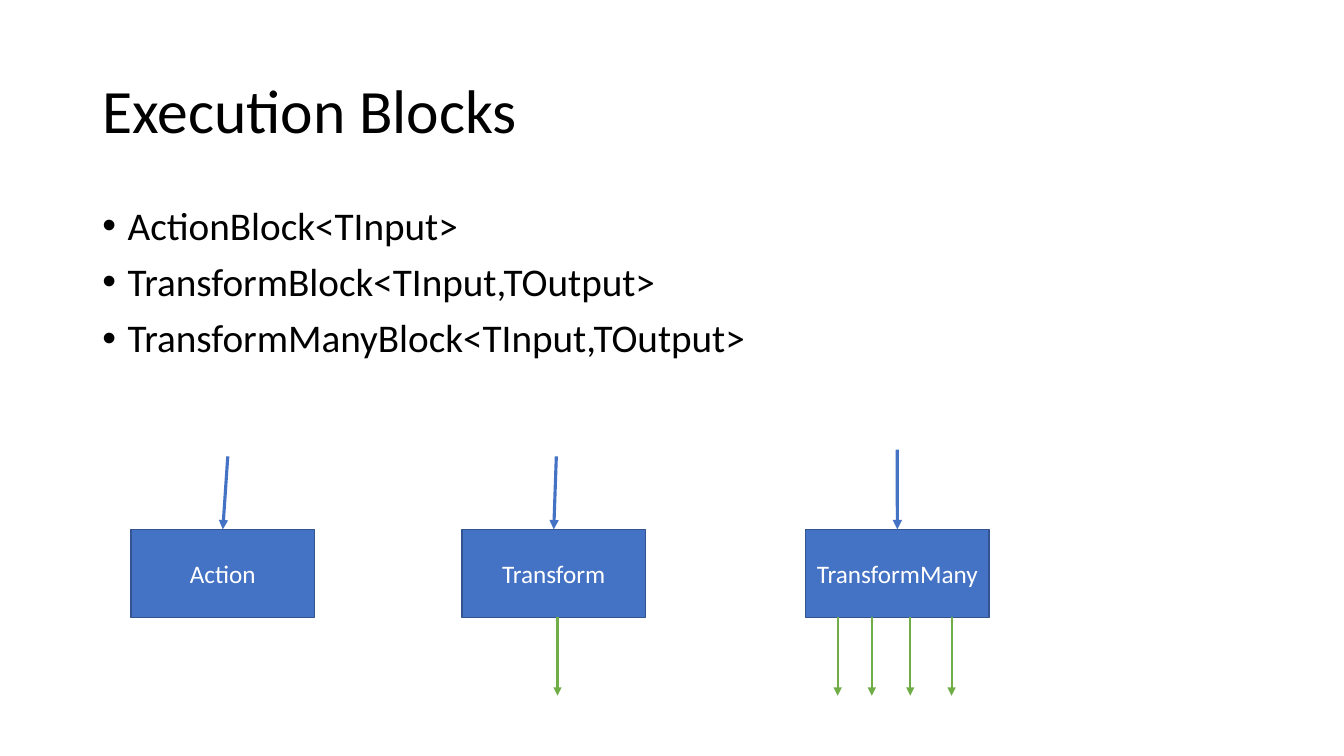
from pptx import Presentation
from pptx.dml.color import RGBColor
from pptx.enum.shapes import MSO_CONNECTOR as Connector, MSO_SHAPE as Shape
from pptx.enum.text import MSO_ANCHOR as Anchor, PP_ALIGN as Align
from pptx.oxml.ns import qn
from pptx.util import Cm, Pt
from lxml.etree import SubElement

BLUE, DARK_BLUE, GREEN = "4472C4", "325491", "70AD47"
BLACK, WHITE = "000000", "FFFFFF"
BOX_TOP, BOX_WIDTH, BOX_HEIGHT = 13.34, 4.63, 2.22
BOX_BOTTOM = BOX_TOP + BOX_HEIGHT
OUTPUT_END = 17.53


def color(value):
    """Turn a hex string into a colour."""
    return RGBColor.from_string(value)


class SlideBuilder:
    """Hold the style and the current slide, and draw its elements."""

    font_name = "Calibri"

    def __init__(self, slide):
        self.slide = slide

    def style(self, paragraph, size, hex_color):
        """Set the font of a paragraph."""
        font = paragraph.font
        font.name, font.size = self.font_name, Pt(size)
        font.color.rgb = color(hex_color)

    def text(self, left, top, width, height, lines, size, anchor=Anchor.TOP, bullets=False):
        """Add a text box with one paragraph per line."""
        shape = self.slide.shapes.add_textbox(Cm(left), Cm(top), Cm(width), Cm(height))
        frame = shape.text_frame
        frame.word_wrap = True
        frame.vertical_anchor = anchor
        frame.text = "\n".join(lines)
        for paragraph in frame.paragraphs:
            self.style(paragraph, size, BLACK)
            paragraph.line_spacing = 0.9
            if bullets:
                self.bullet(paragraph)

    def bullet(self, paragraph):
        """Give a paragraph a hanging bullet and space above."""
        paragraph.space_before = Pt(10)
        properties = paragraph._p.get_or_add_pPr()
        indent = Cm(0.64)
        properties.set("marL", str(indent))
        properties.set("indent", str(-indent))
        bullet_font = SubElement(properties, qn("a:buFont"))
        bullet_font.set("typeface", "Arial")
        SubElement(properties, qn("a:buChar")).set("char", "•")
        properties.append(properties.find(qn("a:defRPr")))

    def box(self, left, label):
        """Add a labelled block."""
        shape = self.slide.shapes.add_shape(
            Shape.RECTANGLE, Cm(left), Cm(BOX_TOP), Cm(BOX_WIDTH), Cm(BOX_HEIGHT))
        shape.shadow.inherit = False
        shape.fill.solid()
        shape.fill.fore_color.rgb = color(BLUE)
        shape.line.color.rgb = color(DARK_BLUE)
        shape.line.width = Pt(1)
        frame = shape.text_frame
        frame.word_wrap = True
        frame.vertical_anchor = Anchor.MIDDLE
        frame.text = label
        paragraph = frame.paragraphs[0]
        paragraph.alignment = Align.CENTER
        self.style(paragraph, 18, WHITE)

    def arrow(self, start, end, hex_color, width):
        """Add an arrow between two points."""
        connector = self.slide.shapes.add_connector(
            Connector.STRAIGHT, *(Cm(value) for value in (*start, *end)))
        connector.line.color.rgb = color(hex_color)
        connector.line.width = Pt(width)
        SubElement(connector.line._get_or_add_ln(), qn("a:tailEnd")).set("type", "triangle")
        SubElement(connector._element.spPr, qn("a:effectLst"))


presentation = Presentation()
presentation.slide_width, presentation.slide_height = Cm(33.87), Cm(19.05)
slide = presentation.slides.add_slide(presentation.slide_layouts[6])
builder = SlideBuilder(slide)

builder.text(2.33, 1.01, 29.21, 3.68, ["Execution Blocks"], 44, Anchor.MIDDLE)
builder.text(2.33, 5.07, 29.21, 12.09, [
    "ActionBlock<TInput>",
    "TransformBlock<TInput,TOutput>",
    "TransformManyBlock<TInput,TOutput>",
], 28, bullets=True)

blocks = [
    ("Action", 3.3, (5.74, 11.5), []),
    ("Transform", 11.64, (14.02, 11.5), [14.05]),
    ("TransformMany", 20.3, (22.61, 11.33), [21.11, 21.97, 22.94, 23.98]),
]
for label, left, input_start, outputs in blocks:
    builder.box(left, label)
    builder.arrow(input_start, (left + BOX_WIDTH / 2, BOX_TOP), BLUE, 2.25)
    for x in outputs:
        builder.arrow((x, BOX_BOTTOM), (x, OUTPUT_END), GREEN, 1.5)

presentation.save("out.pptx")
